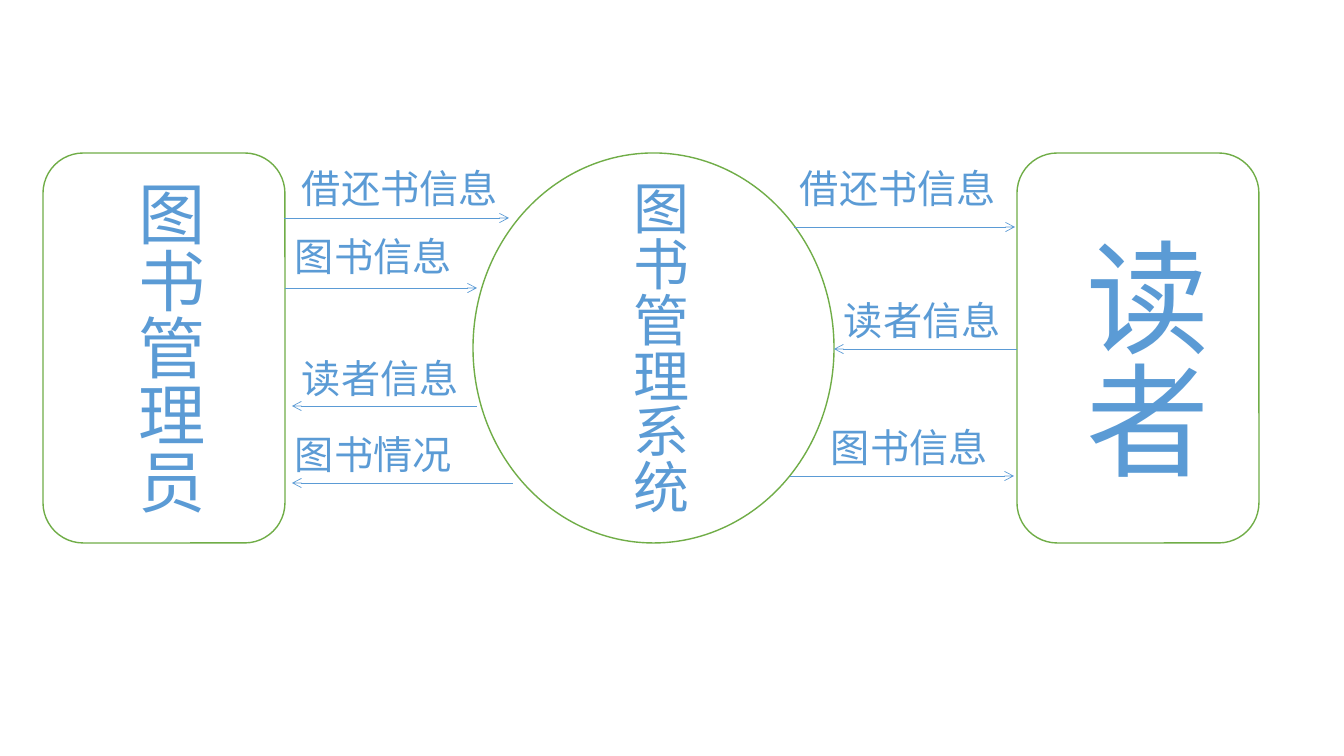
"""Draw the data flow between librarian, library system and reader."""
from typing import NamedTuple

from lxml.etree import SubElement
from pptx import Presentation
from pptx.dml.color import RGBColor
from pptx.enum.shapes import MSO_CONNECTOR, MSO_SHAPE
from pptx.enum.text import MSO_AUTO_SIZE
from pptx.oxml.ns import qn
from pptx.util import Emu, Pt

WHITE = RGBColor(0xFF, 0xFF, 0xFF)
GREEN = RGBColor(0x70, 0xAD, 0x47)
BLUE = RGBColor(0x5B, 0x9B, 0xD5)
FONT = "Calibri"
NODE_TOP, NODE_HIGH = 153, 390
NAME_TOP, NAME_HIGH = 170, 357
LABEL_HIGH = 57


class Node(NamedTuple):
    kind: MSO_SHAPE
    left: int
    wide: int


class Flow(NamedTuple):
    start: int
    end: int
    y: int


class Name(NamedTuple):
    text: str
    left: int
    wide: int
    size: int
    indent: int = 0


class Label(NamedTuple):
    text: str
    left: int
    top: int
    wide: int = 206


NODES = [
    Node(MSO_SHAPE.ROUNDED_RECTANGLE, 43, 242),
    Node(MSO_SHAPE.OVAL, 473, 361),
    Node(MSO_SHAPE.ROUNDED_RECTANGLE, 1017, 242),
]
FLOWS = [
    Flow(284, 509, 218),
    Flow(285, 477, 288),
    Flow(477, 292, 406),
    Flow(513, 292, 483),
    Flow(794, 1015, 227),
    Flow(790, 1014, 476),
    Flow(1017, 834, 349),
]
NAMES = [
    Name("图书管理员", 113, 102, 48),
    Name("读者", 1054, 169, 88, 56),
    Name("图书管理系统", 610, 88, 40),
]
LABELS = [
    Label("借还书信息", 292, 159, 240),
    Label("图书信息", 285, 227),
    Label("读者信息", 292, 349),
    Label("图书情况", 285, 425),
    Label("借还书信息", 790, 159, 237),
    Label("读者信息", 834, 291),
    Label("图书信息", 821, 418),
]


def px(count: int) -> Emu:
    """Turn pixels into EMU."""
    return Emu(round(count * 914400 / 100.8))


def draw_node(node: Node) -> None:
    """Draw one outlined party."""
    shape = slide.shapes.add_shape(
        node.kind, px(node.left), px(NODE_TOP), px(node.wide), px(NODE_HIGH))
    shape.shadow.inherit = False
    shape.fill.solid()
    shape.fill.fore_color.rgb = WHITE
    shape.line.color.rgb = GREEN
    shape.line.width = Pt(1)


def draw_flow(flow: Flow) -> None:
    """Draw one level arrow."""
    arrow = slide.shapes.add_connector(
        MSO_CONNECTOR.STRAIGHT,
        px(flow.start), px(flow.y), px(flow.end), px(flow.y))
    arrow.line.color.rgb = BLUE
    arrow.line.width = Pt(0.5)
    SubElement(arrow.line._get_or_add_ln(), qn("a:tailEnd"), type="arrow")
    SubElement(arrow._element.spPr, qn("a:effectLst"))


def add_text(text: str, left: int, top: int, wide: int, high: int, size: int):
    """Add a blue text box and return its frame."""
    box = slide.shapes.add_textbox(px(left), px(top), px(wide), px(high))
    frame = box.text_frame
    frame.word_wrap = True
    frame.auto_size = MSO_AUTO_SIZE.SHAPE_TO_FIT_TEXT
    frame.text = text
    font = frame.paragraphs[0].font
    font.name = FONT
    font.size = Pt(size)
    font.color.rgb = BLUE
    return frame


def draw_name(name: Name) -> None:
    """Write one upright party name."""
    frame = add_text(
        name.text, name.left, NAME_TOP, name.wide, NAME_HIGH, name.size)
    frame._txBody.bodyPr.set("vert", "eaVert")
    if name.indent:
        props = frame.paragraphs[0]._p.get_or_add_pPr()
        props.set("marL", str(px(name.indent)))
        props.set("indent", "0")


def draw_label(label: Label) -> None:
    """Write one arrow label."""
    add_text(label.text, label.left, label.top, label.wide, LABEL_HIGH, 28)


deck = Presentation()
deck.slide_width, deck.slide_height = px(1344), px(756)
slide = deck.slides.add_slide(deck.slide_layouts[6])
for node in NODES:
    draw_node(node)
for flow in FLOWS:
    draw_flow(flow)
for name in NAMES:
    draw_name(name)
for label in LABELS:
    draw_label(label)
deck.save("out.pptx")
